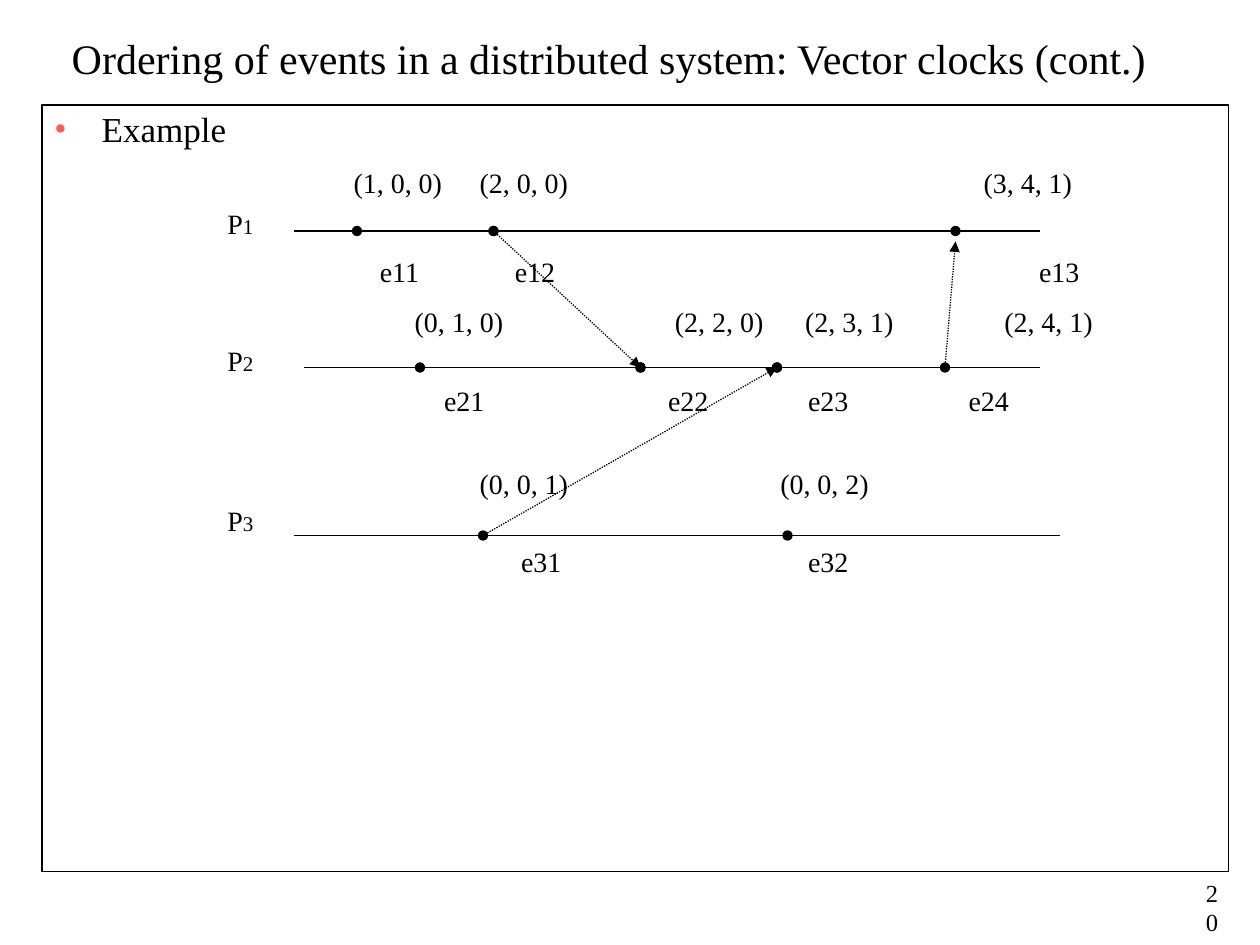
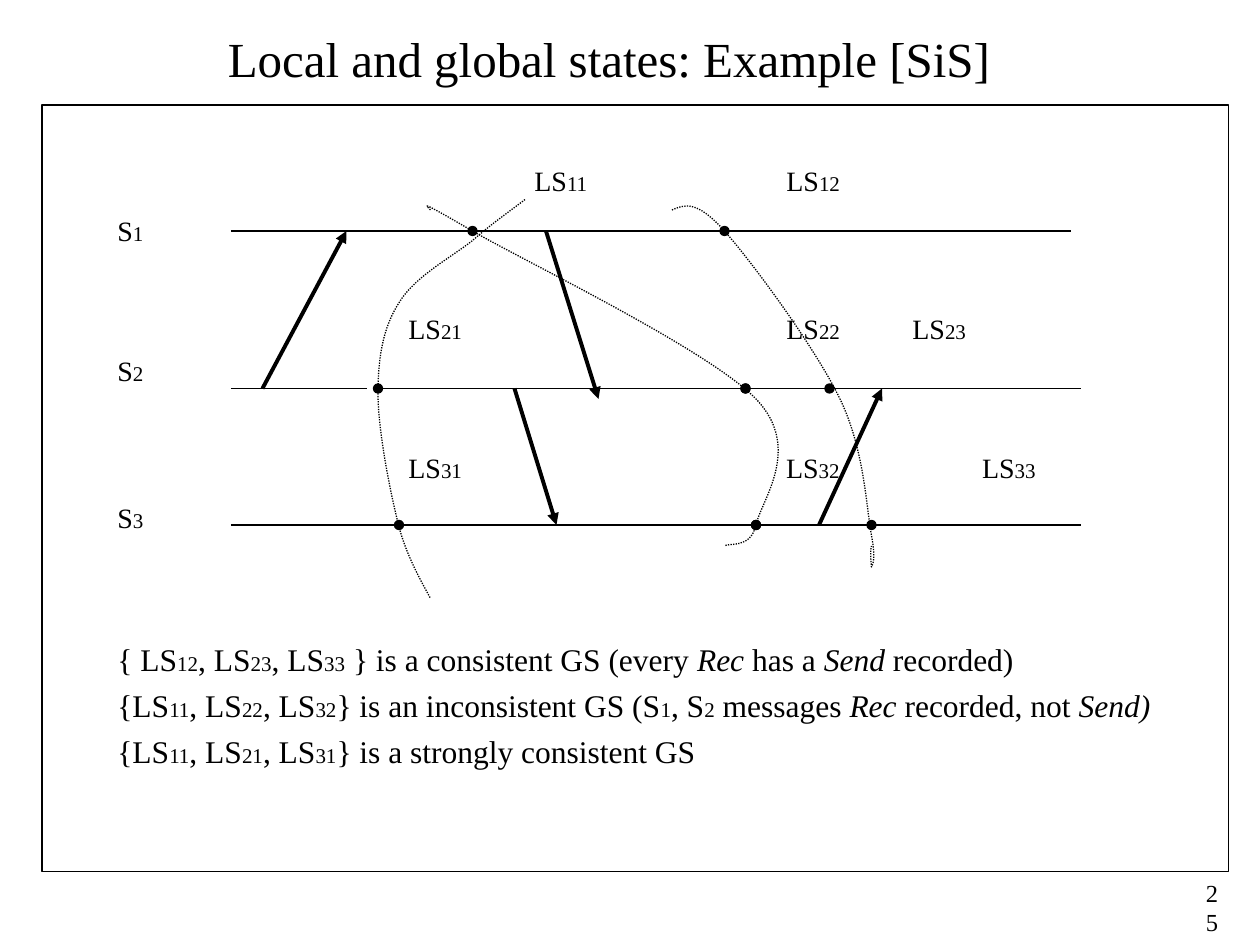
"""Build two slides on vector clocks and on local and global states."""
from dataclasses import dataclass

from lxml.etree import SubElement
from pptx import Presentation
from pptx.dml.color import RGBColor
from pptx.enum.dml import MSO_LINE_DASH_STYLE as Dash
from pptx.enum.shapes import MSO_CONNECTOR as Connector, MSO_SHAPE as Preset
from pptx.enum.text import MSO_ANCHOR as Anchor, MSO_AUTO_SIZE as AutoSize, PP_ALIGN as Align
from pptx.oxml.ns import qn
from pptx.util import Pt


@dataclass(frozen=True)
class Theme:
    font: str = "Times New Roman"
    ink: RGBColor = RGBColor(0, 0, 0)
    bullet: str = "FB5B5B"
    heading: int = 20
    statement: int = 18
    label: int = 16
    number: int = 14
    subscript: int = 12
    thin: float = 0.75
    thick: float = 2.25


theme = Theme()
PANEL_TOP = 60
TEXT_LEFT = 31.2
TOPIC_TOP, TOPIC_HEIGHT = 63.6, 22
ROW_HEIGHT = 20


def write_line(paragraph, line, size, align=Align.LEFT):
    """Write pieces split by |, where _ opens a small piece and * an italic one."""
    paragraph.alignment = align
    for piece in line.split("|"):
        run = paragraph.add_run()
        run.text = piece.lstrip("_*")
        run.font.name = theme.font
        run.font.size = Pt(theme.subscript if piece.startswith("_") else size)
        run.font.italic = piece.startswith("*")
        run.font.color.rgb = theme.ink


def draw_line(slide, start, end, width=theme.thin, dash=None, head=None, tail=None):
    """Draw a straight line with optional end marks."""
    line = slide.shapes.add_connector(Connector.STRAIGHT, *map(Pt, start + end))
    line.line.color.rgb = theme.ink
    line.line.width = Pt(width)
    if dash:
        line.line.dash_style = dash
    outline = line.line._get_or_add_ln()
    for tag, mark in (("a:headEnd", head), ("a:tailEnd", tail)):
        if mark:
            SubElement(outline, qn(tag)).set("type", mark)
    SubElement(line._element.spPr, qn("a:effectLst"))


vector_clocks = {
    "title": "Ordering of events in a distributed system: Vector clocks (cont.)",
    "title_size": 24,
    "number": "20",
    "topic": "Example",
    "timelines": [
        (132, (168, 204), (204, 282, 546), 594),
        (210, (174, 240), (240, 366, 444, 540), 594),
        (306, (168, 276), (276, 450), 606),
    ],
    "messages": [
        ((282, 132), (366, 210)),
        ((540, 210), (546, 138)),
        ((276, 306), (444, 210)),
    ],
    "message_style": (theme.thin, Dash.ROUND_DOT),
    "cuts": [],
    "label_rows": [
        (93.7, [(202.2, "(1, 0, 0)"), (274.2, "(2, 0, 0)"), (562.2, "(3, 4, 1)")]),
        (117.3, [(130.1, "P|_1")]),
        (144.8, [(217.2, "e11"), (294.3, "e12"), (593.9, "e13")]),
        (173.1, [(237.1, "(0, 1, 0)"), (385.8, "(2, 2, 0)"),
                 (460.2, "(2, 3, 1)"), (574, "(2, 4, 1)")]),
        (195.6, [(130.1, "P|_2")]),
        (218.5, [(253.9, "e21"), (381.9, "e22"), (461.9, "e23"), (553.6, "e24")]),
        (265.7, [(274.2, "(0, 0, 1)"), (446, "(0, 0, 2)")]),
        (287, [(130.1, "P|_3")]),
        (310.5, [(297.9, "e31"), (461.9, "e32")]),
    ],
    "statements": [],
}

global_states = {
    "title": "Local and global states: Example [SiS]",
    "title_size": 28,
    "number": "25",
    "topic": None,
    "timelines": [
        (132, (132, 270), (270, 414), 612),
        (222, (132, 210), (216, 426, 474), 618),
        (300, (132, 228), (228, 432, 498), 618),
    ],
    "messages": [
        ((312, 132), (342, 228)),
        ((294, 222), (318, 300)),
        ((468, 300), (504, 222)),
        ((150, 222), (198, 132)),
    ],
    "message_style": (theme.thick, None),
    "cuts": [
        [(300, 114), (291, 121), (282, 127), (270, 137.5), (258, 147), (237, 158),
         (228, 173), (219, 187), (216, 204), (216, 225), (216, 246), (223, 281.5),
         (228, 301), (233, 320), (243, 336), (246, 342)],
        [(246, 120), (243, 117), (239, 114), (270, 132), (301, 150), (405, 200),
         (432, 228), (459, 256), (435, 286), (432, 300), (429, 314), (416, 310),
         (414, 312)],
        [(384, 120), (391, 117), (398, 114), (414, 132), (430, 150), (466, 199),
         (480, 228), (494, 257), (495, 290), (498, 306), (501, 322), (498, 323),
         (498, 324), (498, 325), (497, 314), (498, 312)],
    ],
    "label_rows": [
        (92.6, [(305.5, "LS|_11"), (449.5, "LS|_12")]),
        (121.3, [(67.2, "S|_1")]),
        (177.3, [(233.5, "LS|_21"), (449.5, "LS|_22"), (521.5, "LS|_23")]),
        (201.3, [(67.2, "S|_2")]),
        (256.7, [(233.5, "LS|_31"), (449.3, "LS|_32"), (561.3, "LS|_33")]),
        (285.3, [(67.2, "S|_3")]),
    ],
    "statements": [
        "{ LS|_12|, LS|_23|, LS|_33| } is a consistent GS (every |*Rec |has a |*Send |recorded)",
        "{LS|_11|, LS|_22|, LS|_32|} is an inconsistent GS (S|_1|, S|_2| messages "
        "|*Rec |recorded, not |*Send)",
        "{LS|_11|, LS|_21|, LS|_31|} is a strongly consistent GS",
    ],
}

deck = Presentation()
deck.slide_width, deck.slide_height = Pt(720), Pt(540)

for content in (vector_clocks, global_states):
    slide = deck.slides.add_slide(deck.slide_layouts[5])

    title = slide.shapes.title
    title.left, title.top, title.width, title.height = map(Pt, (24, 18, 648, 30))
    title.text_frame.auto_size = AutoSize.NONE
    title.text_frame.word_wrap = True
    title.text_frame.vertical_anchor = Anchor.MIDDLE
    write_line(title.text_frame.paragraphs[0], content["title"], content["title_size"],
               Align.CENTER)

    panel = slide.shapes.add_shape(Preset.RECTANGLE, *map(Pt, (24, PANEL_TOP, 678, 438)))
    panel.shadow.inherit = False
    panel.fill.background()
    panel.line.color.rgb = theme.ink
    panel.line.width = Pt(theme.thin)
    body = panel.text_frame
    body.word_wrap = True
    body.vertical_anchor = Anchor.TOP

    rows = [(top, labels, theme.label) for top, labels in content["label_rows"]]
    rows += [(367.3 + 26.2 * index, [(67.2, statement)], theme.statement)
             for index, statement in enumerate(content["statements"])]
    paragraph = body.paragraphs[0]
    if content["topic"]:
        topic_format = paragraph._p.get_or_add_pPr()
        topic_format.set("marL", str(Pt(27)))
        topic_format.set("indent", str(Pt(-27)))
        bullet_color = SubElement(topic_format, qn("a:buClr"))
        SubElement(bullet_color, qn("a:srgbClr")).set("val", theme.bullet)
        SubElement(topic_format, qn("a:buFont")).set("typeface", theme.font)
        SubElement(topic_format, qn("a:buChar")).set("char", "•")
        paragraph.line_spacing = Pt(TOPIC_HEIGHT)
        write_line(paragraph, content["topic"], theme.heading)
        paragraph = None
        bottom = TOPIC_TOP + TOPIC_HEIGHT
    else:
        bottom = rows[0][0]
        body.margin_top = Pt(bottom - PANEL_TOP)

    for top, labels, size in rows:
        paragraph = paragraph or body.add_paragraph()
        tab_stops = SubElement(paragraph._p.get_or_add_pPr(), qn("a:tabLst"))
        for x, _ in labels:
            stop = SubElement(tab_stops, qn("a:tab"))
            stop.set("pos", str(Pt(x - TEXT_LEFT)))
            stop.set("algn", "l")
        paragraph.line_spacing = Pt(ROW_HEIGHT)
        if top > bottom:
            paragraph.space_before = Pt(round(top - bottom, 1))
        write_line(paragraph, "".join("\t" + label for _, label in labels)
                   if size == theme.statement or "_" not in labels[0][1]
                   else "|".join("\t" + label for _, label in labels), size)
        paragraph = None
        bottom = top + ROW_HEIGHT

    for y, (lead_start, lead_end), events, end in content["timelines"]:
        draw_line(slide, (lead_start, y), (lead_end, y))
        for event, following in zip(events, events[1:]):
            draw_line(slide, (event, y), (following, y), head="oval", tail="oval")
        draw_line(slide, (events[-1], y), (end, y))

    for sent, received in content["messages"]:
        draw_line(slide, sent, received, *content["message_style"], tail="triangle")

    for cut in content["cuts"]:
        controls = [tuple(map(Pt, point)) for point in cut]
        outline = slide.shapes.build_freeform(*controls[0])
        outline.add_line_segments(controls[1:], close=False)
        curve = outline.convert_to_shape()
        steps = list(curve._element.iter(qn("a:lnTo")))
        for first in range(0, len(steps), 3):
            bend = SubElement(steps[first].getparent(), qn("a:cubicBezTo"))
            for step in steps[first:first + 3]:
                bend.append(step[0])
                step.getparent().remove(step)
        curve.shadow.inherit = False
        curve.fill.background()
        curve.line.color.rgb = theme.ink
        curve.line.width = Pt(theme.thin)
        curve.line.dash_style = Dash.ROUND_DOT

    number = slide.shapes.add_textbox(*map(Pt, (672, 498, 30, 24))).text_frame
    number.word_wrap = True
    write_line(number.paragraphs[0], content["number"], theme.number, Align.RIGHT)
    number.paragraphs[0]._p.get_or_add_pPr().set("marL", str(Pt(17)))

deck.save("out.pptx")
